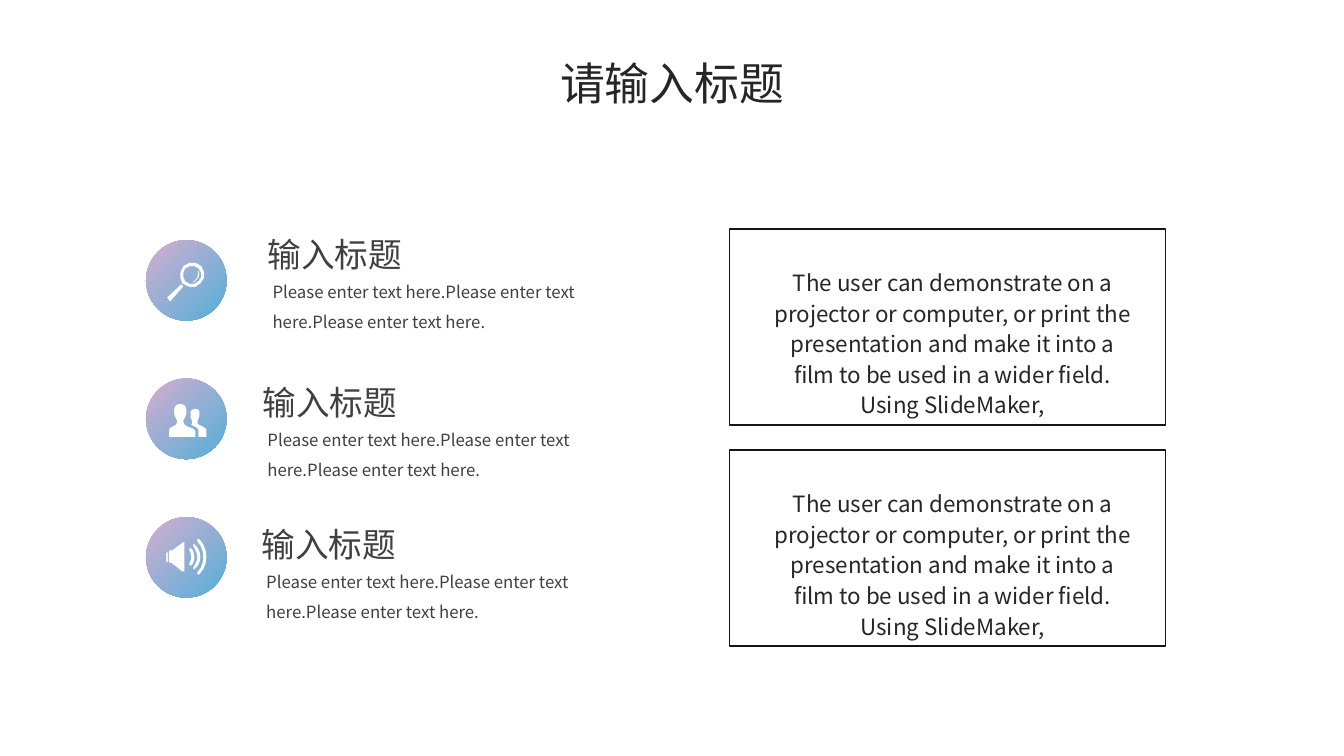
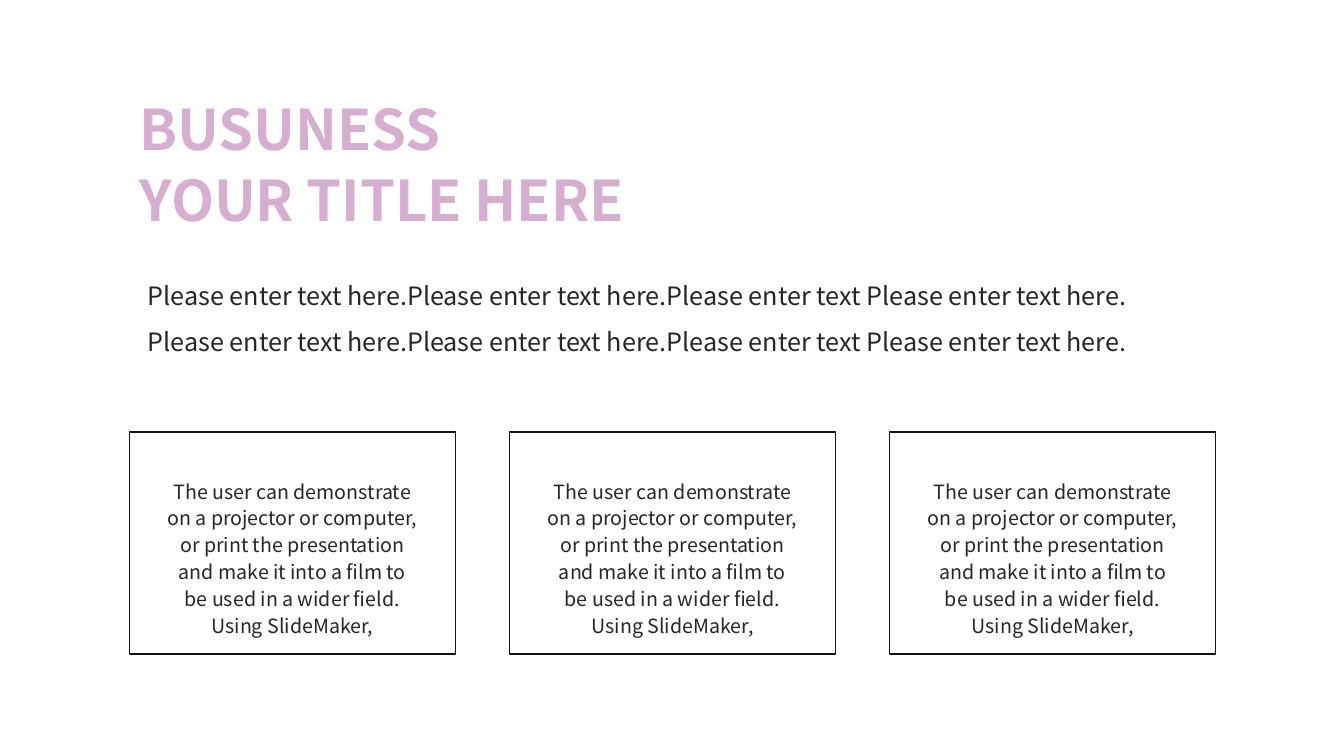
from dataclasses import dataclass
from typing import Iterator, NamedTuple, Optional

from pptx import Presentation
from pptx.dml import color
from pptx.enum import shapes, text
from pptx.util import Cm, Length, Pt

RGB = color.RGBColor.from_string
LEFT, CENTER = text.PP_ALIGN.LEFT, text.PP_ALIGN.CENTER


@dataclass(frozen=True)
class Theme:
    font: str = "Noto Sans CJK SC"
    ink: str = "262626"
    soft_ink: str = "404040"
    frame: str = "151515"
    white: str = "FFFFFF"
    pale: str = "F2F2F2"
    gradient: tuple[str, str] = ("D6AED0", "52AFD8")
    cover_size: float = 40
    title_size: float = 32
    heading_size: float = 24
    lead_size: float = 18
    card_size: float = 16
    small_card_size: float = 14
    note_size: float = 12
    loose: float = 1.5
    card_spacing: float = 1.14


THEME = Theme()


class Area(NamedTuple):
    """Left, top, width and height in centimetres."""
    left: float
    top: float
    width: float
    height: float

    def lengths(self) -> list[Length]:
        return [Cm(value) for value in self]


class Insets(NamedTuple):
    """Left, top, right and bottom margins in centimetres."""
    left: float = 0.25
    top: float = 0.13
    right: float = 0.25
    bottom: float = 0.13


class Outline(NamedTuple):
    """Closed contours on the 80-unit grid of a badge; M, L and C take absolute points."""
    contours: str
    tint: str = THEME.white


class Feature(NamedTuple):
    left: float
    top: float
    heading_width: float
    icon: tuple[Outline, ...]


BADGE_SIZE = 2.03
BADGE_LEFT, BADGE_TOP, BADGE_PITCH = 3.68, 6.05, 3.49
GRID_UNIT = Cm(BADGE_SIZE) / 80
CURVE_STEPS = 3

MAGNIFIER = (
    Outline("M 55 26 C 50 21 42 21 37 26 C 33 31 33 38 36 43 L 38 44 "
            "C 43 48 50 48 54 43 C 59 39 59 31 55 26 "
            "M 52 41 C 48 45 43 45 39 41 C 36 37 36 32 39 28 "
            "C 43 25 49 25 52 28 C 56 32 56 37 52 41"),
    Outline("M 21 57 L 24 61 L 37 46 L 35 44"),
    Outline("M 52 30 C 53 39 46 42 46 42 L 48 42 C 56 37 52 30 52 30", THEME.pale),
)
PEOPLE = (
    Outline("M 60 58 L 60 50 L 55 47 C 52 46 51 45 51 43 L 52 40 "
            "L 53 37 L 53 34 C 53 33 53 30 49 30 C 45 30 44 33 44 34 "
            "L 45 36 L 44 37 L 45 40 L 46 43 L 45 46 C 51 49 52 49 52 52 L 52 58 "
            "M 42 48 C 38 46 37 45 37 42 L 39 38 L 40 35 L 40 31 "
            "C 40 29 39 25 34 25 C 29 25 28 29 28 31 L 28 35 L 29 38 "
            "L 31 42 C 31 45 30 46 26 48 C 25 48 23 49 23 51 L 23 58 "
            "L 49 58 L 49 52 C 49 51 46 49 42 48"),
)
SPEAKER = (
    Outline("M 37 25 L 26 33 L 23 33 L 23 45 L 26 46 L 36 54 L 38 54 L 38 25"),
    Outline("M 20 36 L 20 44 L 22 45 L 22 34", THEME.pale),
    Outline("M 45 31 L 43 31 L 43 33 C 44 35 45 37 45 40 C 45 42 44 44 43 46 "
            "L 43 48 L 45 48 C 47 46 48 43 48 40 C 48 37 47 33 45 31"),
    Outline("M 48 27 L 47 27 L 47 29 C 49 32 51 36 51 40 C 51 43 49 47 47 50 "
            "L 47 52 L 48 52 C 52 49 54 44 54 40 C 54 35 52 30 48 27"),
    Outline("M 53 22 L 51 22 L 51 24 C 55 28 57 34 57 40 C 57 45 55 51 51 55 "
            "L 51 57 L 53 57 C 58 52 60 46 60 40 C 60 33 58 27 53 22"),
)
FEATURES = (
    Feature(6.5, 5.77, 5.69, MAGNIFIER),
    Feature(6.37, 9.5, 7.59, PEOPLE),
    Feature(6.34, 13.08, 7.59, SPEAKER),
)

PROMPT = "Please enter text here."
LEAD = f"{PROMPT * 2}Please enter text {PROMPT}"
CARD_TEXT = ("The user can demonstrate on a projector or computer, or print the presentation "
             "and make it into a film to be used in a wider field. Using SlideMaker,")


def paint_gradient(fill, angle: float) -> None:
    """Fill with the theme gradient; the angle runs counter-clockwise."""
    fill.gradient()
    fill.gradient_angle = angle
    for stop, tint, position in zip(fill.gradient_stops, THEME.gradient, (0, 1)):
        stop.color.rgb = RGB(tint)
        stop.position = position


def write(shape, content: str, *, size: float, tint: Optional[str] = THEME.ink,
          bold: bool = False, align=LEFT, spacing: float | Length = 1.0,
          insets: Insets = Insets()) -> None:
    """Put one paragraph per line of content in a shape; no tint means the gradient."""
    frame = shape.text_frame
    frame.word_wrap = True
    frame.auto_size = text.MSO_AUTO_SIZE.NONE
    frame.vertical_anchor = text.MSO_ANCHOR.TOP
    frame.margin_left, frame.margin_top, frame.margin_right, frame.margin_bottom = map(Cm, insets)
    frame.text = content
    for para in frame.paragraphs:
        para.alignment = align
        para.line_spacing = spacing
        para.space_before = Pt(0)
        for span in para.runs:
            span.font.name = THEME.font
            span.font.size = Pt(size)
            span.font.bold = bold
            if tint:
                span.font.color.rgb = RGB(tint)
            else:
                paint_gradient(span.font.fill, 270)


def add_text(page, area: Area, content: str, **style) -> None:
    write(page.shapes.add_textbox(*area.lengths()), content, **style)


def add_page(deck, title_area: Area, title: str, **style):
    page = deck.slides.add_slide(deck.slide_layouts.get_by_name("Title Only"))
    heading = page.shapes.title
    heading.left, heading.top, heading.width, heading.height = title_area.lengths()
    write(heading, title, **style)
    return page


def add_card(page, area: Area, *, size: float, insets: Insets) -> None:
    card = page.shapes.add_shape(shapes.MSO_SHAPE.RECTANGLE, *area.lengths())
    card.shadow.inherit = False
    card.fill.background()
    card.line.color.rgb = RGB(THEME.frame)
    card.line.width = Pt(1)
    write(card, CARD_TEXT, size=size, align=CENTER, spacing=THEME.card_spacing, insets=insets)


def trace(contours: str) -> Iterator[list[tuple[float, float]]]:
    """Yield each contour as points, with curves cut into short lines."""
    for contour in contours.split("M")[1:]:
        start, *segments = contour.replace("L", "|").replace("C", "|").split("|")
        x, y = map(float, start.split())
        points = [(x, y)]
        for segment in segments:
            values = [float(value) for value in segment.split()]
            ends = list(zip(values[::2], values[1::2]))
            if len(ends) == 1:
                points += ends
                continue
            corners = [points[-1], *ends]
            for step in range(1, CURVE_STEPS + 1):
                t = step / CURVE_STEPS
                weights = ((1 - t) ** 3, 3 * t * (1 - t) ** 2, 3 * t * t * (1 - t), t ** 3)
                points.append((sum(w * p[0] for w, p in zip(weights, corners)),
                               sum(w * p[1] for w, p in zip(weights, corners))))
        yield [(px * GRID_UNIT, py * GRID_UNIT) for px, py in points]


def add_outline(page, outline: Outline, left: float, top: float) -> None:
    first, *others = trace(outline.contours)
    builder = page.shapes.build_freeform(*first[0])
    builder.add_line_segments(first[1:])
    for contour in others:
        builder.move_to(*contour[0]).add_line_segments(contour[1:])
    shape = builder.convert_to_shape(Cm(left), Cm(top))
    shape.shadow.inherit = False
    shape.fill.solid()
    shape.fill.fore_color.rgb = RGB(outline.tint)
    shape.line.fill.background()


def add_badge(page, icon: tuple[Outline, ...], top: float) -> None:
    area = Area(BADGE_LEFT, top, BADGE_SIZE, BADGE_SIZE)
    disc = page.shapes.add_shape(shapes.MSO_SHAPE.OVAL, *area.lengths())
    disc.shadow.inherit = False
    disc.line.fill.background()
    paint_gradient(disc.fill, 315)
    for outline in icon:
        add_outline(page, outline, BADGE_LEFT, top)


def add_feature(page, feature: Feature, badge_top: float) -> None:
    add_badge(page, feature.icon, badge_top)
    add_text(page, Area(feature.left, feature.top, feature.heading_width, 1.27), "输入标题",
             size=THEME.heading_size, tint=THEME.soft_ink)
    add_text(page, Area(feature.left + 0.12, feature.top + 0.94, 9.86, 1.73), PROMPT * 3,
             size=THEME.note_size, tint=THEME.soft_ink, spacing=THEME.loose)


def build_features(deck) -> None:
    page = add_page(deck, Area(10.68, 1.28, 12.52, 1.63), "请输入标题",
                    size=THEME.title_size, align=CENTER)
    for row, feature in enumerate(FEATURES):
        add_feature(page, feature, BADGE_TOP + row * BADGE_PITCH)
    for row in range(2):
        add_card(page, Area(18.39, 5.77 + row * 5.57, 10.98, 4.94), size=THEME.card_size,
                 insets=Insets(1.06, 0.92, 0.8, 0))


def build_business(deck) -> None:
    page = add_page(deck, Area(3.27, 2.16, 13.26, 2.97), "BUSUNESS\nYOUR TITLE HERE",
                    size=THEME.cover_size, tint=None, bold=True, spacing=Pt(50.6))
    add_text(page, Area(3.47, 6.56, 26.92, 2.44), f"{LEAD} {LEAD}",
             size=THEME.lead_size, spacing=THEME.loose)
    for column in range(3):
        add_card(page, Area(3.26 + column * 9.58, 10.89, 8.22, 5.59),
                 size=THEME.small_card_size, insets=Insets(0.94, 1.11, 0.94, 0))


def main() -> None:
    deck = Presentation()
    deck.slide_width, deck.slide_height = Cm(33.87), Cm(19.05)
    build_features(deck)
    build_business(deck)
    deck.save("out.pptx")


if __name__ == "__main__":
    main()
